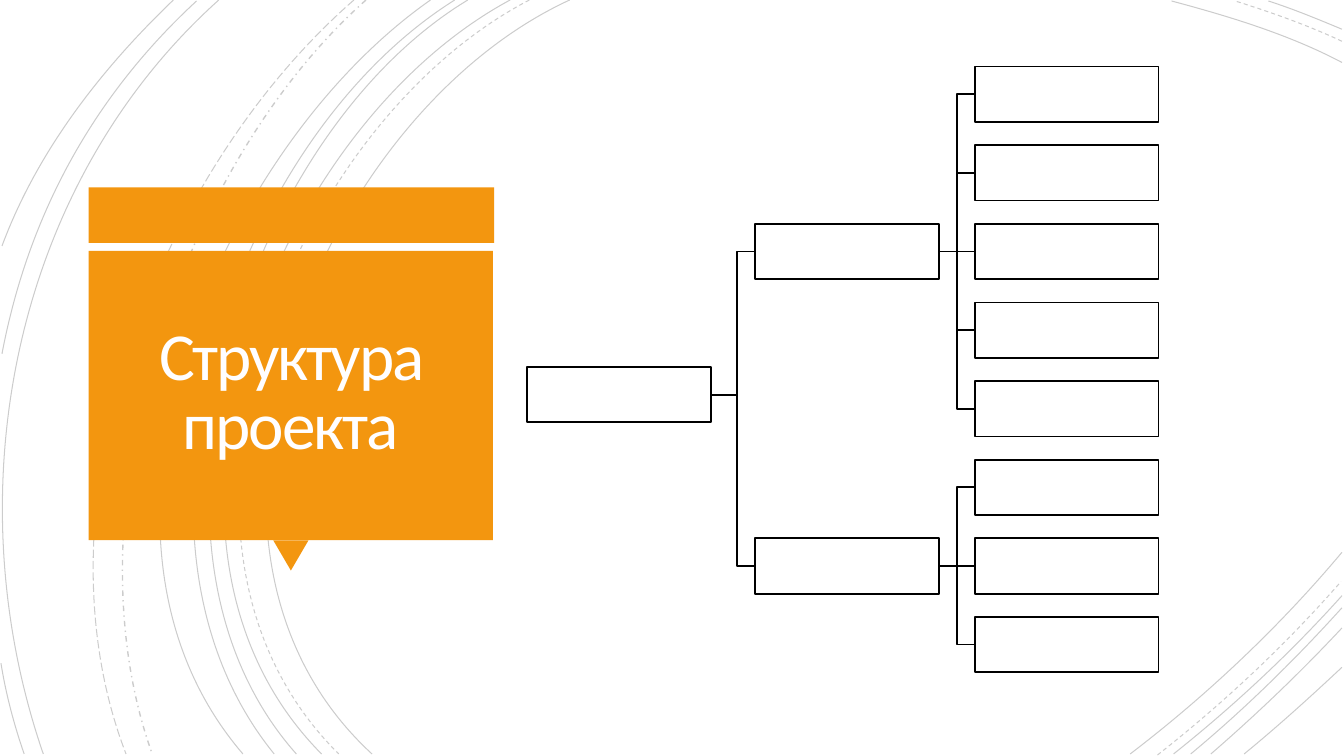
from lxml.etree import SubElement
from pptx import Presentation
from pptx.dml.color import RGBColor
from pptx.enum.dml import MSO_LINE
from pptx.enum.shapes import MSO_CONNECTOR, MSO_SHAPE
from pptx.enum.text import MSO_ANCHOR, PP_ALIGN
from pptx.oxml.ns import qn
from pptx.util import Inches, Pt

BLACK = RGBColor(0x00, 0x00, 0x00)
WHITE = RGBColor(0xFF, 0xFF, 0xFF)
ORANGE = RGBColor(0xF3, 0x96, 0x0F)
TITLE_COLOR = RGBColor(0xFF, 0xFE, 0xFF)

BOX_WIDTH, BOX_HEIGHT = 1.82, 0.55
ROW_TOP, ROW_PITCH = 0.66, 0.78
ROOT_LEFT, BRANCH_LEFT, LEAF_LEFT = 5.23, 7.49, 9.67
ROOT_TOP = 3.64
SPINE_GAP = 0.18
BRANCHES = {2: range(0, 5), 6: range(5, 8)}

SOLID, DASH = MSO_LINE.SOLID, MSO_LINE.DASH
ARCS = [
    (SOLID, (5.65, 0), (3.15, 1.15), (1.43, 5.4), (3.69, 7.48)),
    (SOLID, (13.31, 0.62), (12.78, 0.34), (12.18, 0.16), (11.62, 0.01)),
    (SOLID, (11.21, 7.48), (11.97, 6.9), (12.69, 6.22), (13.31, 5.48)),
    (DASH, (5.25, 0), (2.85, 1.25), (1.23, 5.37), (3.36, 7.48)),
    (DASH, (13.31, 0.41), (12.97, 0.25), (12.6, 0.12), (12.25, 0.01)),
    (DASH, (11.48, 7.49), (12.13, 6.98), (12.75, 6.4), (13.3, 5.77)),
    (SOLID, (5.06, 0), (2.7, 1.27), (1.1, 5.37), (3.19, 7.48)),
    (SOLID, (13.31, 0.29), (13.07, 0.19), (12.83, 0.09), (12.58, 0.01)),
    (SOLID, (11.64, 7.48), (12.23, 7.01), (12.8, 6.48), (13.31, 5.91)),
    (SOLID, (4.64, 0), (2.44, 1.33), (1.1, 5.41), (2.94, 7.48)),
    (SOLID, (11.81, 7.48), (12.34, 7.04), (12.84, 6.55), (13.31, 6.03)),
    (SOLID, (4.51, 0), (2.31, 1.38), (0.97, 5.33), (2.72, 7.48)),
    (SOLID, (12.01, 7.48), (12.46, 7.09), (12.9, 6.67), (13.31, 6.23)),
    (SOLID, (4.27, 0), (2.17, 1.47), (0.53, 5.29), (2.41, 7.48)),
    (SOLID, (12.34, 7.48), (12.67, 7.21), (12.99, 6.92), (13.31, 6.62)),
    (MSO_LINE.DASH_DOT, (3.63, 0), (1.76, 1.66), (0.65, 5.09), (1.51, 7.48)),
    (MSO_LINE.LONG_DASH, (3.51, 0), (1.57, 1.69), (0.29, 4.99), (1.25, 7.48)),
    (SOLID, (2.17, 0), (0.11, 1.85), (-0.46, 4.9), (0.43, 7.48)),
    (SOLID, (1.95, 0.01), (0.92, 0.96), (0.28, 2.14), (0.02, 3.51)),
    (SOLID, (0.01, 6.58), (0.06, 6.89), (0.14, 7.19), (0.24, 7.48)),
    (SOLID, (1.72, 0), (1, 0.69), (0.37, 1.5), (0.02, 2.44)),
]


def set_line(line, width):
    line.color.rgb = BLACK
    line.width = Pt(width)


def add_outline(slide, points, width):
    start, *rest = [(Inches(x), Inches(y)) for x, y in points]
    builder = slide.shapes.build_freeform(*start)
    builder.add_line_segments(rest, close=False)
    outline = builder.convert_to_shape()
    outline.shadow.inherit = False
    outline.fill.background()
    set_line(outline.line, width)
    return outline


def add_arc(slide, dash, *points):
    arc = add_outline(slide, points, 1 if dash == MSO_LINE.DASH_DOT else 0.75)
    arc.line.dash_style = dash
    properties = arc.element.spPr
    color = next(properties.find(qn("a:ln")).iter(qn("a:srgbClr")))
    SubElement(color, qn("a:alpha")).set("val", "20000")
    route = next(properties.iter(qn("a:path")))
    segments = route.findall(qn("a:lnTo"))
    curve = SubElement(route, qn("a:cubicBezTo"))
    for segment in segments:
        curve.append(segment[0])
        route.remove(segment)


def add_block(slide, preset, left, top, width, height, fill):
    block = slide.shapes.add_shape(
        preset, Inches(left), Inches(top), Inches(width), Inches(height))
    block.shadow.inherit = False
    block.fill.solid()
    block.fill.fore_color.rgb = fill
    block.line.fill.background()
    return block


def add_box(slide, left, top):
    box = add_block(slide, MSO_SHAPE.RECTANGLE, left, top,
                    BOX_WIDTH, BOX_HEIGHT, WHITE)
    set_line(box.line, 1.25)


def add_link(slide, parent, child):
    start_x, start_y = parent[0] + BOX_WIDTH, parent[1] + BOX_HEIGHT / 2
    end_x, end_y = child[0], child[1] + BOX_HEIGHT / 2
    if start_y == end_y:
        link = slide.shapes.add_connector(
            MSO_CONNECTOR.STRAIGHT, Inches(start_x), Inches(start_y),
            Inches(end_x), Inches(end_y))
        set_line(link.line, 1.25)
        SubElement(link.element.spPr, qn("a:effectLst"))
    else:
        spine = end_x - SPINE_GAP
        add_outline(slide, [(start_x, start_y), (spine, start_y),
                            (spine, end_y), (end_x, end_y)], 1.25)


def add_title(slide, text):
    title = slide.shapes.add_textbox(
        Inches(0.97), Inches(2.57), Inches(3.83), Inches(2.69))
    frame = title.text_frame
    frame.word_wrap = True
    frame.vertical_anchor = MSO_ANCHOR.MIDDLE
    frame.margin_left = frame.margin_right = Inches(0.25)
    frame.margin_top = frame.margin_bottom = Inches(0.25)
    paragraph = frame.paragraphs[0]
    paragraph.alignment = PP_ALIGN.CENTER
    paragraph.line_spacing = 0.85
    run = paragraph.add_run()
    run.text = text
    run.font.name = "Calibri"
    run.font.size = Pt(48)
    run.font.color.rgb = TITLE_COLOR
    run._r.get_or_add_rPr().set("spc", "-150")


def add_title_panel(slide):
    add_block(slide, MSO_SHAPE.RECTANGLE, 0.88, 1.86, 4.02, 0.55, ORANGE)
    pointer = add_block(slide, MSO_SHAPE.ISOSCELES_TRIANGLE,
                        2.71, 5.36, 0.35, 0.3, ORANGE)
    pointer.rotation = 180
    add_block(slide, MSO_SHAPE.RECTANGLE, 0.88, 2.49, 4.01, 2.87, ORANGE)
    add_title(slide, "Структура проекта")


def row_top(row):
    return ROW_TOP + row * ROW_PITCH


def add_tree(slide):
    root = (ROOT_LEFT, ROOT_TOP)
    boxes, links = [root], []
    for branch_row, leaf_rows in BRANCHES.items():
        branch = (BRANCH_LEFT, row_top(branch_row))
        leaves = [(LEAF_LEFT, row_top(row)) for row in leaf_rows]
        boxes += [branch, *leaves]
        links += [(root, branch), *((branch, leaf) for leaf in leaves)]
    for parent, child in links:
        add_link(slide, parent, child)
    for left, top in boxes:
        add_box(slide, left, top)


def main():
    presentation = Presentation()
    presentation.slide_width = Inches(13.33)
    presentation.slide_height = Inches(7.5)
    slide = presentation.slides.add_slide(presentation.slide_layouts[6])
    for arc in ARCS:
        add_arc(slide, *arc)
    add_title_panel(slide)
    add_tree(slide)
    presentation.save("out.pptx")


main()
